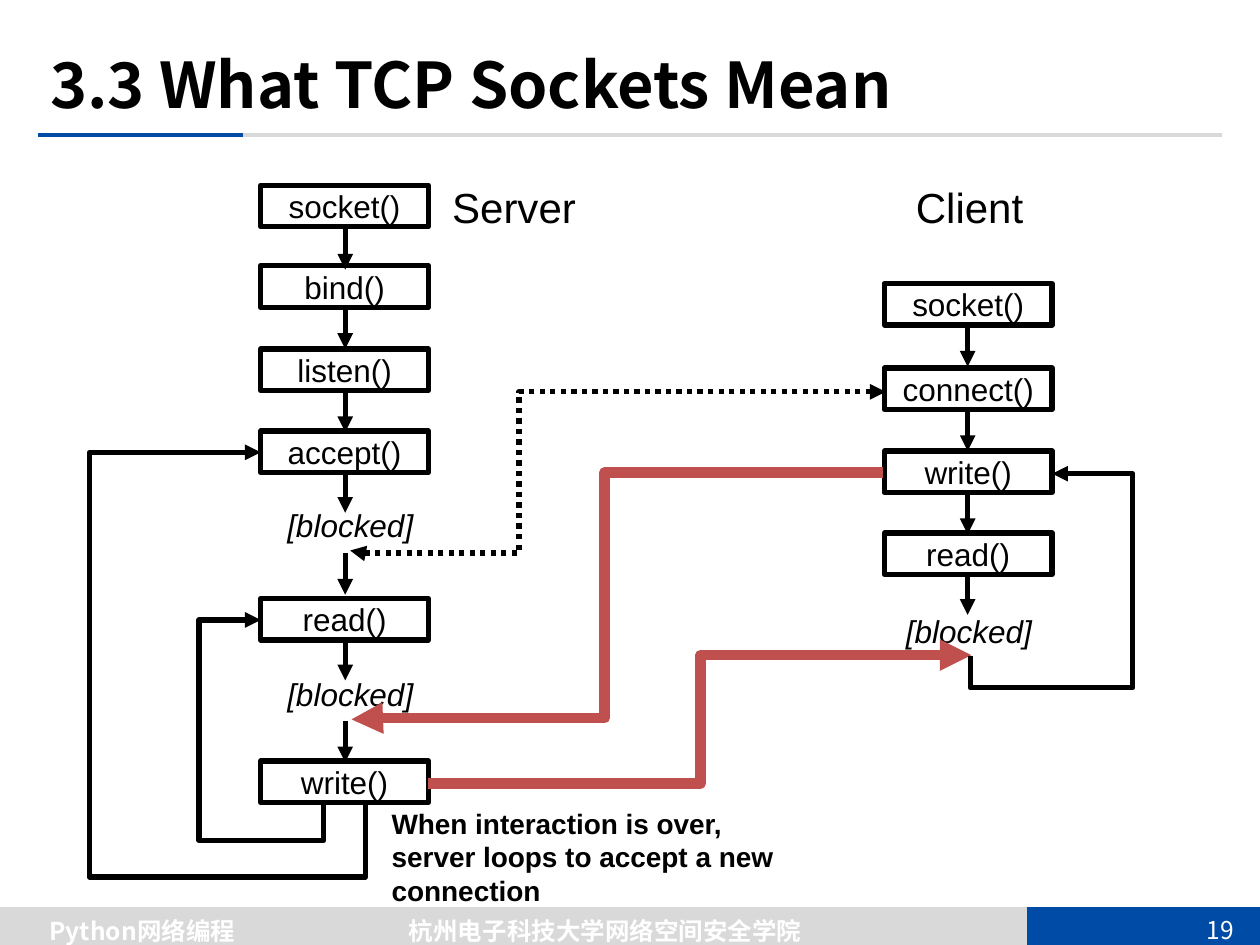
from pptx import Presentation
from pptx.dml.color import RGBColor
from pptx.enum.dml import MSO_LINE
from pptx.enum.shapes import MSO_CONNECTOR, MSO_SHAPE
from pptx.enum.text import MSO_ANCHOR, PP_ALIGN
from pptx.oxml.ns import qn
from pptx.util import Inches, Pt
from lxml import etree

BLACK = RGBColor(0x00, 0x00, 0x00)
WHITE = RGBColor(0xFF, 0xFF, 0xFF)
GREY = RGBColor(0xD9, 0xD9, 0xD9)
BLUE = RGBColor(0x00, 0x4B, 0xA6)
RED = RGBColor(0xC0, 0x50, 0x4D)
LEFT, CENTER = PP_ALIGN.LEFT, PP_ALIGN.CENTER
TOP, MIDDLE = MSO_ANCHOR.TOP, MSO_ANCHOR.MIDDLE
STRAIGHT, ELBOW = MSO_CONNECTOR.STRAIGHT, MSO_CONNECTOR.ELBOW
RECTANGLE = MSO_SHAPE.RECTANGLE
DOTTED = MSO_LINE.ROUND_DOT
LATIN, CHINESE = "Arial", "Noto Sans CJK SC"

COLUMNS, ROWS = 100, 75
STEP_WIDTH, STEP_HEIGHT, ARROW_LENGTH = 13.3, 3.3, 3.3
SERVER_LEFT, SERVER_AXIS = 20.7, 27.4
CLIENT_LEFT, CLIENT_AXIS = 70.2, 76.8

SERVER_STEPS = [("socket()", 14.7), ("bind()", 21.1), ("listen()", 27.7),
                ("accept()", 34.2), ("read()", 47.5), ("write()", 60.4)]
CLIENT_STEPS = [("socket()", 22.5), ("connect()", 29.2),
                ("write()", 35.8), ("read()", 42.3)]
SERVER_ARROWS = [18.1, 24.4, 31, 37.4, 43.9, 50.7, 57.2]
CLIENT_ARROWS = [25.8, 32.5, 39.1, 45.5]


class Diagram:
    """Draws on one slide; every length is in grid columns and rows."""

    def __init__(self, deck):
        self.page = deck.slides.add_slide(deck.slide_layouts[6])
        self.column = deck.slide_width / COLUMNS
        self.row = deck.slide_height / ROWS

    def place(self, x, y):
        return round(x * self.column), round(y * self.row)

    def fill_text(self, box, words, size, font=LATIN, color=BLACK, bold=False,
                  italic=False, align=CENTER, anchor=TOP):
        frame = box.text_frame
        frame.word_wrap = True
        frame.vertical_anchor = anchor
        para = frame.paragraphs[0]
        para.alignment = align
        span = para.add_run()
        span.text = words
        span.font.size, span.font.name = Pt(size), font
        span.font.bold, span.font.italic = bold, italic
        span.font.color.rgb = color
        if font == CHINESE:
            properties = span.font._element
            etree.SubElement(properties, qn("a:ea"), typeface=font)

    def text(self, x, y, width, height, words, size, **style):
        box = self.page.shapes.add_textbox(
            *self.place(x, y), *self.place(width, height))
        self.fill_text(box, words, size, **style)

    def step(self, x, y, words):
        box = self.page.shapes.add_shape(
            RECTANGLE, *self.place(x, y),
            *self.place(STEP_WIDTH, STEP_HEIGHT))
        box.shadow.inherit = False
        box.fill.background()
        box.line.color.rgb = BLACK
        box.line.width = Pt(3)
        box.text_frame.margin_top = box.text_frame.margin_bottom = 0
        self.fill_text(box, words, 18, anchor=MIDDLE)

    def line(self, start, end, color=BLACK, width=3, kind=STRAIGHT,
             head=False, tail=False, dash=None):
        link = self.page.shapes.add_connector(
            kind, *self.place(*start), *self.place(*end))
        link.line.color.rgb = color
        link.line.width = Pt(width)
        if dash:
            link.line.dash_style = dash
        outline = link._element.spPr.find(qn("a:ln"))
        for tag, shown in (("a:headEnd", head), ("a:tailEnd", tail)):
            if shown:
                etree.SubElement(outline, qn(tag), type="triangle")
        etree.SubElement(link._element.spPr, qn("a:effectLst"))
        return link

    def elbow(self, start, end, turn_x, turn_y=None, downward=False, **style):
        """Bent arrow turning at column turn_x and, if given, row turn_y."""
        link = self.line(start, end, kind=ELBOW, tail=True, **style)
        (x0, y0), (x1, y1) = start, end
        shares = [(turn_x - x0) / (x1 - x0)]
        if turn_y is not None:
            shares.append((turn_y - y0) / (y1 - y0))
        if downward:
            shares.reverse()
            self.turn_quarter(link, start, end)
        geometry = link._element.spPr.find(qn("a:prstGeom"))
        geometry.set("prst", f"bentConnector{len(shares) + 2}")
        guides = geometry.find(qn("a:avLst"))
        for number, share in enumerate(shares, 1):
            etree.SubElement(guides, qn("a:gd"), name=f"adj{number}",
                             fmla=f"val {round(share * 100000)}")

    def turn_quarter(self, link, start, end):
        """Rotate the connector clockwise so that its path begins vertically."""
        (x0, y0), (x1, y1) = start, end
        width, height = abs(y1 - y0), abs(x1 - x0)
        link.left, link.top = self.place(
            (x0 + x1 - width) / 2, (y0 + y1 - height) / 2)
        link.width, link.height = self.place(width, height)
        frame = link._element.spPr.find(qn("a:xfrm"))
        frame.set("rot", str(90 * 60000))
        frame.set("flipH", str(int(y1 < y0)))
        frame.set("flipV", str(int(x1 > x0)))


def draw_frame(diagram):
    for start, end, color, width in (
            ((99.6, 73.7), (0, 73.7), GREY, 25),
            ((100, 73.7), (81.5, 73.7), BLUE, 25),
            ((3, 10.7), (97, 10.7), GREY, 2.25),
            ((3, 10.7), (19.3, 10.7), BLUE, 2.25)):
        diagram.line(start, end, color, width)
    for x, y, width, words, bold in (
            (-0.4, 72.2, 23.4, "Python网络编程", True),
            (94.1, 72.1, 5.5, "19", False),
            (25.6, 72.2, 44.9, "杭州电子科技大学网络空间安全学院", True)):
        diagram.text(x, y, width, 3.4, words, 14, font=CHINESE,
                     color=WHITE, bold=bold, anchor=MIDDLE)
    diagram.text(3, 2.8, 92, 7.7, "3.3 What TCP Sockets Mean", 36,
                 font=CHINESE, bold=True, align=LEFT, anchor=MIDDLE)


def draw_flow(diagram, left, axis, steps, arrows):
    for words, y in steps:
        diagram.step(left, y, words)
    for y in arrows:
        diagram.line((axis, y), (axis, y + ARROW_LENGTH), tail=True)


def draw_labels(diagram):
    for x, y in ((17.4, 39.7), (17.4, 53.1), (66.5, 48.1)):
        diagram.text(x, y, 20.8, 4, "[blocked]", 18, italic=True)
    diagram.text(34.9, 13.9, 22.5, 5, "Server", 24, align=LEFT)
    diagram.text(65.7, 13.9, 22.5, 5, "Client", 24)
    diagram.text(30.1, 63.5, 33.3, 9.1,
                 "When interaction is over, server loops to accept a new "
                 "connection", 16, bold=True, align=LEFT)


def draw_exchanges(diagram):
    diagram.elbow((70.3, 31.1), (27.8, 43.7), 41.2, 43.9,
                  head=True, dash=DOTTED)
    diagram.elbow((70.1, 37.5), (27.9, 57.1), 48, 57, color=RED, width=6)
    diagram.elbow((34, 62.2), (77.1, 52), 55.6, color=RED, width=6)


def draw_loops(diagram):
    diagram.elbow((25.7, 63.8), (20.7, 49.2), 15.8, 66.7, downward=True)
    diagram.elbow((77, 52.1), (83.5, 37.6), 89.9, 54.6, downward=True)
    diagram.elbow((29, 63.8), (20.7, 35.9), 7.1, 69.6, downward=True)


def main():
    deck = Presentation()
    deck.slide_width, deck.slide_height = Inches(10), Inches(7.5)
    diagram = Diagram(deck)
    draw_frame(diagram)
    draw_flow(diagram, SERVER_LEFT, SERVER_AXIS, SERVER_STEPS, SERVER_ARROWS)
    draw_flow(diagram, CLIENT_LEFT, CLIENT_AXIS, CLIENT_STEPS, CLIENT_ARROWS)
    draw_labels(diagram)
    draw_exchanges(diagram)
    draw_loops(diagram)
    deck.save("out.pptx")


if __name__ == "__main__":
    main()
